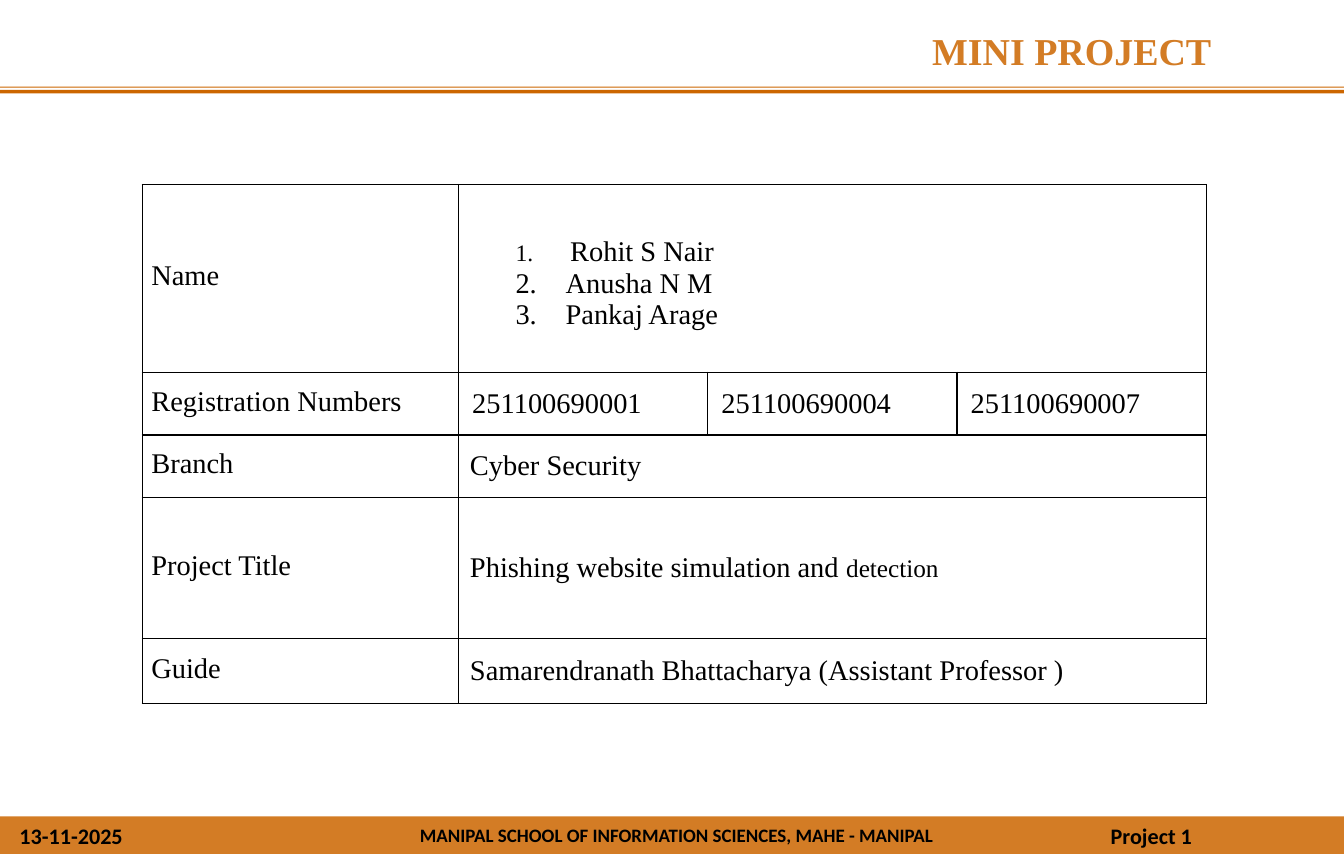
"""Build the mini project title slide."""
from lxml.etree import SubElement
from pptx import Presentation
from pptx.dml.color import RGBColor
from pptx.enum.shapes import MSO_SHAPE
from pptx.enum.text import MSO_ANCHOR
from pptx.oxml import parse_xml
from pptx.oxml.ns import nsdecls, qn
from pptx.util import Inches, Pt

SERIF = "Times New Roman"
SANS = "Calibri"
COLS = [2.78, 2.19, 2.19, 2.19]
ROWS = [1.65, 0.55, 0.55, 1.24, 0.57]
LABELS = ["Name", "Registration Numbers", "Branch", "Project Title", "Guide"]
NAMES = ["Rohit S Nair", "Anusha N M", "Pankaj Arage"]
CODES = ["251100690001", "251100690004", "251100690007"]
VALUES = {
    2: [("Cyber Security", 18)],
    3: [("Phishing website simulation and ", 18), ("detection", 16)],
    4: [("Samarendranath Bhattacharya (Assistant Professor )", 18)],
}
BARS = [(0.76, 0.01, "CC6600"), (0.79, 0.03, "CC6600"), (7.17, 0.33, "D37C25")]
TEXTS = [
    ("MINI PROJECT", (8.19, 0.22, 2.98, 0.44), 24, SERIF, "D37C25"),
    ("13-11-2025", (0.17, 7.17, 0.95, 0.33), 14, SANS, "000000"),
    ("Project 1", (9.76, 7.17, 0.86, 0.33), 14, SANS, "000000"),
    ("MANIPAL SCHOOL OF INFORMATION SCIENCES, MAHE - MANIPAL",
     (3.69, 7.17, 4.56, 0.33), 12, SANS, "000000"),
]


def paint(form, tint):
    form.rgb = RGBColor.from_string(tint)


def assign(item, form):
    for name, value in form.items():
        setattr(item, name, value)


def add_run(para, text, size, face=SERIF, tint="000000", bold=False):
    run = para.add_run()
    run.text = text
    assign(run.font, {"size": Pt(size), "name": face, "bold": bold})
    paint(run.font.color, tint)


def add_bar(slide, top, height, tint):
    bar = slide.shapes.add_shape(MSO_SHAPE.RECTANGLE, 0, Inches(top),
                                 Inches(11.81), Inches(height))
    bar.shadow.inherit = False
    bar.fill.solid()
    paint(bar.fill.fore_color, tint)
    bar.line.fill.background()


def add_text(slide, text, box, size, face, tint):
    frame = slide.shapes.add_textbox(*map(Inches, box)).text_frame
    assign(frame, {"word_wrap": True, "vertical_anchor": MSO_ANCHOR.MIDDLE,
                   "margin_left": 0, "margin_right": 0,
                   "margin_top": 0, "margin_bottom": 0})
    add_run(frame.paragraphs[0], text, size, face, tint, True)


def add_edges(cell, sides):
    props = cell._tc.get_or_add_tcPr()
    for spot, side in enumerate(sides):
        props.insert(spot, parse_xml(
            f'<a:ln{side} {nsdecls("a")} w="12700"><a:solidFill>'
            f'<a:srgbClr val="000000"/></a:solidFill></a:ln{side}>'))


def set_cell(cell, runs, left, top=0, bottom=0):
    assign(cell, {"vertical_anchor": MSO_ANCHOR.MIDDLE,
                  "margin_left": Inches(left), "margin_right": 0,
                  "margin_top": Inches(top), "margin_bottom": Inches(bottom)})
    for text, size in runs:
        add_run(cell.text_frame.paragraphs[0], text, size)


def add_names(cell):
    set_cell(cell, [], 0, top=0.09)
    frame = cell.text_frame
    for spot, name in enumerate(NAMES):
        para = frame.add_paragraph() if spot else frame.paragraphs[0]
        left = 0.94 if spot else 0.98
        props = para._p.get_or_add_pPr()
        props.set("marL", str(Inches(left)))
        props.set("indent", str(Inches(0.5 - left)))
        if not spot:
            SubElement(props, qn("a:buSzPct")).set("val", "83000")
        SubElement(props, qn("a:buFont")).set("typeface", SERIF)
        SubElement(props, qn("a:buAutoNum")).set("type", "arabicPeriod")
        add_run(para, name, 18)


def add_grid(slide):
    table = slide.shapes.add_table(
        len(ROWS), len(COLS), Inches(1.25), Inches(1.62),
        Inches(sum(COLS)), Inches(sum(ROWS))).table
    assign(table, {"first_row": False, "horz_banding": False})
    for col, width in zip(table.columns, COLS):
        col.width = Inches(width)
    for row, height in zip(table.rows, ROWS):
        row.height = Inches(height)
    for row in (0, *VALUES):
        table.cell(row, 1).merge(table.cell(row, 3))
    for row, label in enumerate(LABELS):
        for col in range(len(COLS)):
            cell = table.cell(row, col)
            cell.fill.background()
            inner = "RTB" if col == 3 else "TB"
            add_edges(cell, inner if cell.is_spanned else "LRTB")
        set_cell(table.cell(row, 0), [(label, 18)], 0.08, bottom=0.04)
    add_names(table.cell(0, 1))
    for col, code in enumerate(CODES, 1):
        set_cell(table.cell(1, col), [(code, 18)], 0.12)
    for row, runs in VALUES.items():
        set_cell(table.cell(row, 1), runs, 0.1)


def main():
    deck = Presentation()
    assign(deck, {"slide_width": Inches(11.81), "slide_height": Inches(7.5)})
    slide = deck.slides.add_slide(deck.slide_layouts[6])
    for bar in BARS:
        add_bar(slide, *bar)
    for text in TEXTS:
        add_text(slide, *text)
    add_grid(slide)
    deck.save("out.pptx")


if __name__ == "__main__":
    main()
